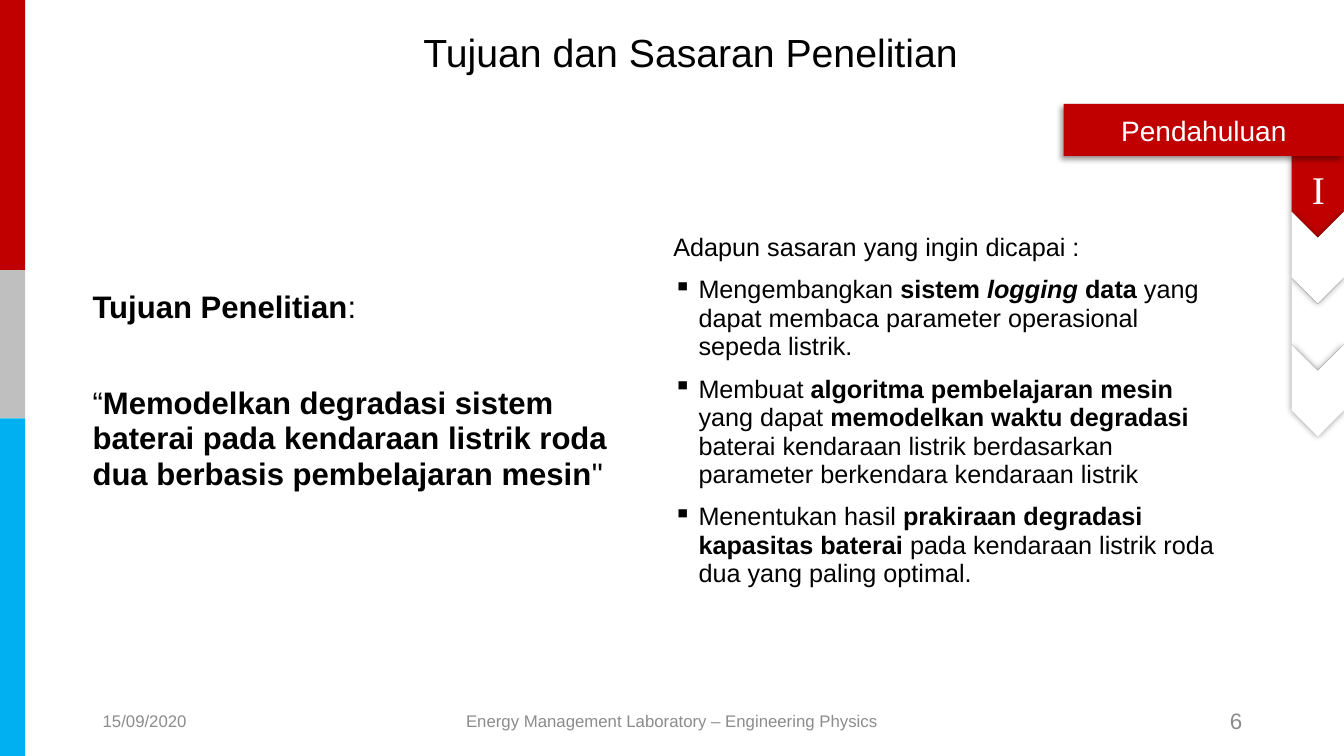
from pptx import Presentation
from pptx.dml.color import RGBColor
from pptx.enum.shapes import MSO_SHAPE as SHAPE
from pptx.enum.text import MSO_ANCHOR as ANCHOR, PP_ALIGN as ALIGN
from pptx.oxml import parse_xml
from pptx.oxml.ns import nsdecls, qn
from pptx.util import Inches, Pt

RED, GREY, BLUE, WHITE, BLACK = "C00000", "BFBFBF", "00B0F0", "FFFFFF", "000000"
FOOTER_GREY = "8C8C8C"
LINE_SPACING = 0.94

GOAL = [
    [("Tujuan Penelitian", "b"), (":", "")],
    [("“", ""),
     ("Memodelkan degradasi sistem baterai pada kendaraan listrik roda dua "
      "berbasis pembelajaran mesin", "b"),
     ('"', "")],
]
TARGETS_INTRO = [("Adapun sasaran yang ingin dicapai :", "")]
TARGETS = [
    [("Mengembangkan ", ""), ("sistem ", "b"), ("logging ", "bi"), ("data ", "b"),
     ("yang dapat membaca parameter operasional sepeda listrik.", "")],
    [("Membuat ", ""), ("algoritma pembelajaran mesin", "b"), (" yang dapat ", ""),
     ("memodelkan waktu degradasi", "b"),
     (" baterai kendaraan listrik berdasarkan parameter berkendara kendaraan listrik", "")],
    [("Menentukan hasil ", ""), ("prakiraan degradasi kapasitas baterai", "b"),
     (" pada kendaraan listrik roda dua yang paling optimal.", "")],
]


def color(hex_string):
    return RGBColor.from_string(hex_string)


def write(paragraph, text, size, fill=BLACK, font="Arial", align=ALIGN.LEFT,
          spacing=None, before=0, bullet=None):
    """Fill a paragraph; text is a string or a list of (words, style letters)."""
    paragraph.alignment = align
    paragraph.space_before = Pt(before)
    if spacing:
        paragraph.line_spacing = spacing
    if bullet:
        properties = paragraph._p.get_or_add_pPr()
        properties.set("marL", str(Inches(0.25)))
        properties.set("indent", str(-Inches(0.25)))
        properties.append(parse_xml(f'<a:buChar {nsdecls("a")} char="{bullet}"/>'))
    for words, style in [(text, "")] if isinstance(text, str) else text:
        run = paragraph.add_run()
        run.text = words
        run.font.name, run.font.size = font, Pt(size)
        run.font.bold, run.font.italic = "b" in style, "i" in style
        run.font.color.rgb = color(fill)


def add_text_frame(slide, box, anchor=ANCHOR.TOP):
    frame = slide.shapes.add_textbox(*map(Inches, box)).text_frame
    frame.word_wrap = True
    frame.vertical_anchor = anchor
    return frame


def add_filled(slide, kind, box, fill):
    shape = slide.shapes.add_shape(kind, *map(Inches, box))
    shape.shadow.inherit = False
    shape.fill.solid()
    shape.fill.fore_color.rgb = color(fill)
    shape.line.fill.background()
    return shape


def cast_shadow(shape, blur, distance=0, angle=0):
    effects = shape._element.spPr.find(qn("a:effectLst"))
    effects.append(parse_xml(
        f'<a:outerShdw {nsdecls("a")} blurRad="{Pt(blur)}" dist="{Pt(distance)}" '
        f'dir="{angle * 60000}" algn="ctr" rotWithShape="0">'
        f'<a:srgbClr val="{BLACK}"><a:alpha val="40000"/></a:srgbClr></a:outerShdw>'))


def add_down_arrow(slide, kind, box, fill):
    """Turn a right-pointing shape downwards so that it covers the box."""
    left, top, width, height = box
    shift = (height - width) / 2
    arrow = add_filled(slide, kind, (left - shift, top + shift, height, width), fill)
    arrow.rotation = 90
    cast_shadow(arrow, 5)


def add_side_stripes(slide, box):
    left, top, width, height = box
    edges = [0, 2.68, 4.15, height]
    for start, end, fill in zip(edges, edges[1:], (RED, GREY, BLUE)):
        add_filled(slide, SHAPE.RECTANGLE, (left, top + start, width, end - start), fill)


def add_title(slide, box):
    title = slide.shapes.title
    title.left, title.top, title.width, title.height = map(Inches, box)
    title.text_frame.vertical_anchor = ANCHOR.MIDDLE
    write(title.text_frame.paragraphs[0], "Tujuan dan Sasaran Penelitian", 28, spacing=0.9)


def add_goal(slide, box):
    frame = add_text_frame(slide, box)
    heading, statement = GOAL
    write(frame.paragraphs[0], heading, 22.2, spacing=LINE_SPACING)
    write(frame.add_paragraph(), statement, 22.2, spacing=LINE_SPACING, before=44)


def add_targets(slide, box):
    frame = add_text_frame(slide, box)
    write(frame.paragraphs[0], TARGETS_INTRO, 18, spacing=LINE_SPACING)
    for target in TARGETS:
        write(frame.add_paragraph(), target, 18, spacing=LINE_SPACING, before=10, bullet="▪")


def add_chapter_ribbon(slide, box):
    """Chapter banner across the top, numbered tag and chevrons down its right end."""
    left, top, width, height = box
    band = 0.52
    arrow_left = left + width - band
    tag_top = top + band - 0.01
    add_down_arrow(slide, SHAPE.PENTAGON, (arrow_left, tag_top, band, 0.82), RED)
    length, step = 0.91, 0.66
    last_top = top + height - length
    for steps_up in (1, 2, 0):
        add_down_arrow(slide, SHAPE.CHEVRON,
                       (arrow_left, last_top - steps_up * step, band, length), WHITE)

    banner = add_filled(slide, SHAPE.RECTANGLE, (left, top, width, band), RED)
    cast_shadow(banner, 4, 3, 135)
    banner.text_frame.vertical_anchor = ANCHOR.MIDDLE
    write(banner.text_frame.paragraphs[0], "Pendahuluan", 20, WHITE, align=ALIGN.CENTER)

    number = add_text_frame(slide, (arrow_left + 0.01, tag_top + 0.05, 0.51, 0.57))
    write(number.paragraphs[0], "I", 28, WHITE, "Times New Roman", ALIGN.CENTER)


def add_footer(slide, box):
    left, top, width, height = box
    parts = [
        ("15/09/2020", 0, 3, 12, ALIGN.LEFT),
        ("Energy Management Laboratory – Engineering Physics", 3.39, 4.71, 12, ALIGN.CENTER),
        ("6", width - 3, 3, 16, ALIGN.RIGHT),
    ]
    for text, offset, part_width, size, align in parts:
        frame = add_text_frame(slide, (left + offset, top, part_width, height), ANCHOR.MIDDLE)
        write(frame.paragraphs[0], text, size, FOOTER_GREY, align=align)


def main():
    deck = Presentation()
    deck.slide_width, deck.slide_height = Inches(13.33), Inches(7.5)
    slide = deck.slides.add_slide(deck.slide_layouts[5])
    add_side_stripes(slide, (0, 0, 0.25, 7.5))
    add_goal(slide, (0.82, 2.83, 5.67, 2.06))
    add_targets(slide, (6.58, 2.27, 5.67, 4.31))
    add_title(slide, (4.1, 0, 9.23, 1.08))
    add_footer(slide, (0.92, 6.95, 11.5, 0.4))
    add_chapter_ribbon(slide, (10.55, 1.03, 2.78, 3.3))
    deck.save("out.pptx")


if __name__ == "__main__":
    main()
